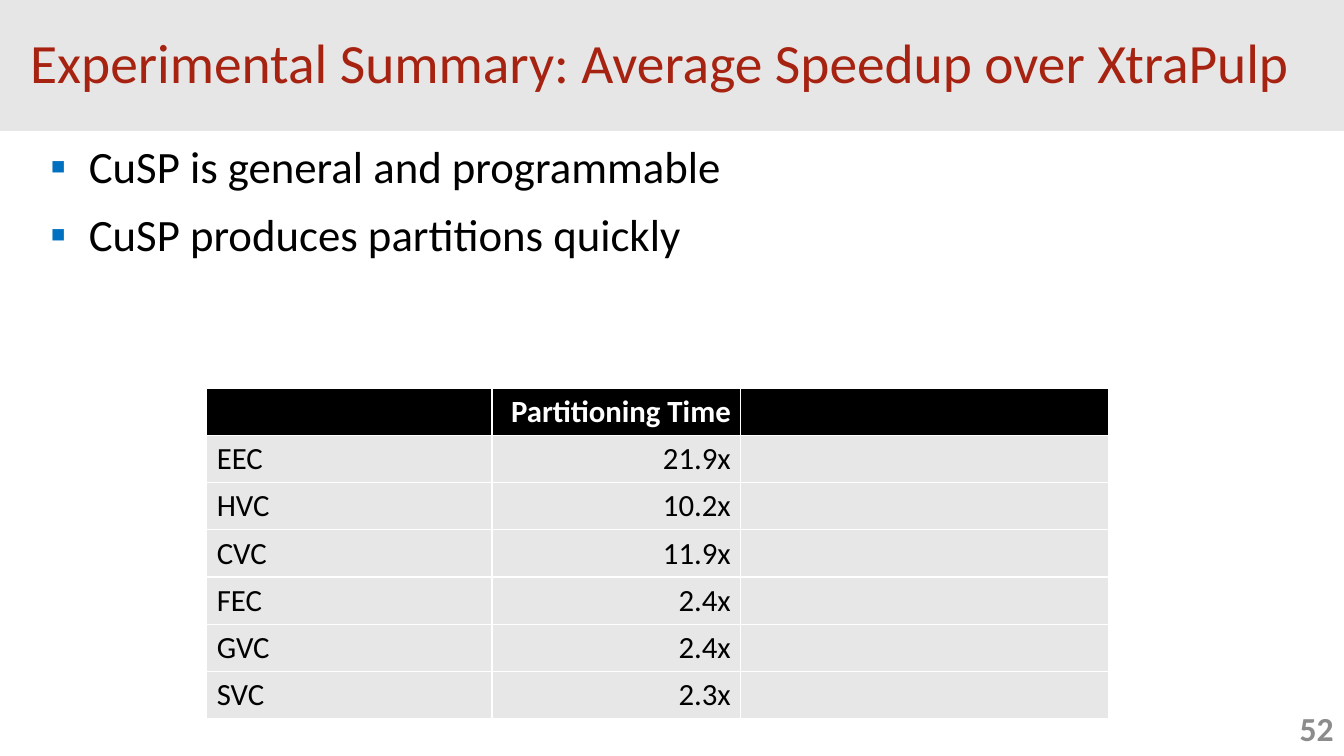
from lxml import etree
from pptx import Presentation
from pptx.dml.color import RGBColor
from pptx.enum import text as t
from pptx.oxml import ns
from pptx.util import Cm, Pt

FONT = "Calibri"
HUES = {"red": "A72311", "band": "E7E6E6", "blue": "0070C0", "black": "000000",
        "white": "FFFFFF", "cell": "E7E7E7", "gray": "8C8C8C"}
POINTS = ["CuSP is general and programmable", "CuSP produces partitions quickly"]
ROWS = [("", "Partitioning Time", ""), ("EEC", "21.9x", ""), ("HVC", "10.2x", ""),
        ("CVC", "11.9x", ""), ("FEC", "2.4x", ""), ("GVC", "2.4x", ""),
        ("SVC", "2.3x", "")]
WIDTHS = [7.19, 6.27, 9.27]
HIGH = 1.19


def hue(name):
    return RGBColor.from_string(HUES[name])


def paint(item, name):
    item.fill.solid()
    item.fill.fore_color.rgb = hue(name)


def add_run(para, words, size, name, bold=False):
    run = para.add_run()
    run.text = words
    font = run.font
    font.name, font.size, font.bold = FONT, Pt(size), bold
    font.color.rgb = hue(name)


def add_box(slide, left, top, width, height):
    frame = slide.shapes.add_textbox(Cm(left), Cm(top), Cm(width), Cm(height)).text_frame
    frame.word_wrap = True
    return frame


def set_bullet(para, mark, name, dent):
    props = para._p.get_or_add_pPr()
    props.set("marL", str(Cm(dent)))
    props.set("indent", str(-Cm(dent)))
    color = etree.SubElement(props, ns.qn("a:buClr"))
    etree.SubElement(color, ns.qn("a:srgbClr"), val=HUES[name])
    etree.SubElement(props, ns.qn("a:buFont"), typeface=FONT)
    etree.SubElement(props, ns.qn("a:buChar"), char=mark)


def set_title(slide, words, width):
    title = slide.shapes.title
    title.left, title.top, title.width, title.height = 0, 0, width, Cm(3.3)
    paint(title, "band")
    frame = title.text_frame
    frame.word_wrap = True
    frame.auto_size = t.MSO_AUTO_SIZE.NONE
    frame.vertical_anchor = t.MSO_ANCHOR.MIDDLE
    frame.margin_left = Cm(0.76)
    para = frame.paragraphs[0]
    para.alignment = t.PP_ALIGN.LEFT
    para.line_spacing = 0.9
    add_run(para, words, 39.6, "red")


def add_points(slide, points):
    frame = add_box(slide, 1.02, 3.53, 31.55, 5.99)
    for i, words in enumerate(points):
        para = frame.add_paragraph() if i else frame.paragraphs[0]
        para.line_spacing = 0.9
        para.space_before = Pt(10 if i else 0)
        para.space_after = Pt(4)
        set_bullet(para, "▪", "blue", 0.97)
        add_run(para, words, 32, "black")


def add_grid(slide, rows):
    grid = slide.shapes.add_table(len(rows), len(WIDTHS), Cm(5.21), Cm(9.78),
                                  Cm(sum(WIDTHS)), Cm(HIGH * len(rows))).table
    grid.horz_banding = False
    for col, width in zip(grid.columns, WIDTHS):
        col.width = Cm(width)
    for r, row in enumerate(rows):
        head = r == 0
        grid.rows[r].height = Cm(HIGH)
        for c, words in enumerate(row):
            cell = grid.cell(r, c)
            paint(cell, "black" if head else "cell")
            if words:
                para = cell.text_frame.paragraphs[0]
                para.alignment = t.PP_ALIGN.RIGHT if c else t.PP_ALIGN.LEFT
                add_run(para, words, 22, "white" if head else "black", head)


def add_number(slide, words):
    frame = add_box(slide, 31.14, 17.65, 2.72, 1.4)
    frame.vertical_anchor = t.MSO_ANCHOR.MIDDLE
    para = frame.paragraphs[0]
    para.alignment = t.PP_ALIGN.RIGHT
    add_run(para, words, 24, "gray", True)


def main():
    deck = Presentation()
    deck.slide_width, deck.slide_height = Cm(33.87), Cm(19.05)
    slide = deck.slides.add_slide(deck.slide_layouts[5])
    # Heading and claims
    set_title(slide, "Experimental Summary: Average Speedup over XtraPulp", deck.slide_width)
    add_points(slide, POINTS)
    # Speedups and page number
    add_grid(slide, ROWS)
    add_number(slide, "52")
    deck.save("out.pptx")


if __name__ == "__main__":
    main()
